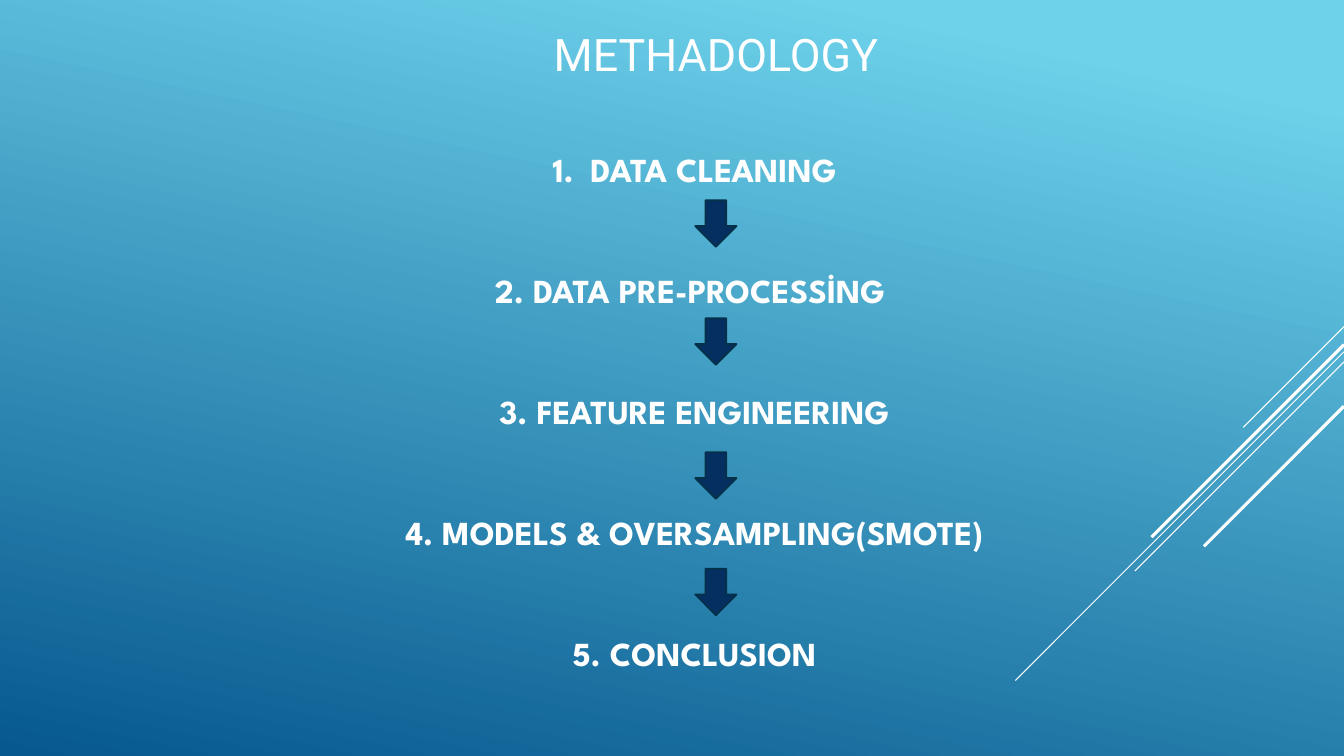
"""Build the methodology slide: five steps linked by down arrows."""
from lxml import etree
from pptx import Presentation
from pptx.dml.color import RGBColor
from pptx.enum.shapes import MSO_CONNECTOR, MSO_SHAPE
from pptx.enum.text import MSO_ANCHOR, MSO_AUTO_SIZE, PP_ALIGN
from pptx.oxml.ns import qn
from pptx.util import Pt

STRAIGHT = MSO_CONNECTOR.STRAIGHT
DOWN_ARROW = MSO_SHAPE.DOWN_ARROW
CENTER = PP_ALIGN.CENTER
TOP, MIDDLE = MSO_ANCHOR.TOP, MSO_ANCHOR.MIDDLE
NO_AUTOFIT = MSO_AUTO_SIZE.NONE

WHITE = RGBColor(0xFF, 0xFF, 0xFF)
SKY = RGBColor(0x6E, 0xD2, 0xEB)
OCEAN = RGBColor(0x06, 0x58, 0x8E)
NAVY = RGBColor(0x05, 0x2F, 0x61)
NAVY_EDGE = RGBColor(0x04, 0x31, 0x48)

PAGE_WIDTH, PAGE_HEIGHT = 960, 540
TITLE = "METHADOLOGY"
TITLE_BOX = (368, 15, 287, 46)
STEPS = [
    "DATA CLEANING",
    "2. DATA PRE-PROCESSİNG ",
    "3. FEATURE ENGINEERING",
    "4. MODELS & OVERSAMPLING(SMOTE)",
    "5. CONCLUSION",
]
STEPS_BOX = (134.6, 103, 723, 385)
STEP_LINE = 28.8
NUMBER_INDENT = 27
ARROW_LEFT, ARROW_WIDTH, ARROW_HEIGHT = 496.6, 29.5, 33.2
ARROW_TOPS = [143, 227.3, 323, 406.2]
DIAGONALS = [
    (233.3, 72, 0.75),
    (251.3, 234.7, 0.75),
    (258.5, 149.4, 0.75),
    (246.2, 137.5, 2.25),
    (290.2, 100, 2.25),
]


def place(shape, box):
    shape.left, shape.top, shape.width, shape.height = map(Pt, box)


def add_span(para, text, font, size, bold=False):
    para.alignment = CENTER
    span = para.add_run()
    span.text = text
    span.font.name = font
    span.font.size = Pt(size)
    span.font.bold = bold
    span.font.color.rgb = WHITE


def paint_background(page):
    fill = page.background.fill
    fill.gradient()
    fill.gradient_angle = 360 - 102
    for stop, (position, color) in zip(fill.gradient_stops, [(0.1, SKY), (1, OCEAN)]):
        stop.position = position
        stop.color.rgb = color


def add_diagonal(page, start, reach, weight):
    line = page.shapes.add_connector(
        STRAIGHT, Pt(PAGE_WIDTH), Pt(start), Pt(PAGE_WIDTH - reach), Pt(start + reach))
    line.line.color.rgb = WHITE
    line.line.width = Pt(weight)
    etree.SubElement(line._element.spPr, qn("a:effectLst"))


def add_title(page):
    title = page.shapes.title
    place(title, TITLE_BOX)
    frame = title.text_frame
    frame.auto_size = NO_AUTOFIT
    frame.vertical_anchor = MIDDLE
    add_span(frame.paragraphs[0], TITLE, "Roboto", 32)


def add_steps(page):
    frame = page.shapes.add_textbox(*map(Pt, STEPS_BOX)).text_frame
    frame.word_wrap = True
    frame.auto_size = NO_AUTOFIT
    frame.vertical_anchor = TOP
    for index, step in enumerate(STEPS):
        para = frame.add_paragraph() if index else frame.paragraphs[0]
        add_span(para, step, "League Spartan", 24, True)
        para.line_spacing = Pt(STEP_LINE)
        para.space_before = Pt(2 * STEP_LINE if index else 0)
    settings = frame.paragraphs[0]._p.get_or_add_pPr()
    settings.set("marL", str(Pt(NUMBER_INDENT)))
    settings.set("indent", str(-Pt(NUMBER_INDENT)))
    etree.SubElement(settings, qn("a:buAutoNum"), type="arabicPeriod")


def add_arrow(page, top):
    arrow = page.shapes.add_shape(
        DOWN_ARROW, Pt(ARROW_LEFT), Pt(top), Pt(ARROW_WIDTH), Pt(ARROW_HEIGHT))
    arrow.shadow.inherit = False
    arrow.fill.solid()
    arrow.fill.fore_color.rgb = NAVY
    arrow.line.color.rgb = NAVY_EDGE
    arrow.line.width = Pt(1.25)


def main():
    deck = Presentation()
    deck.slide_width, deck.slide_height = Pt(PAGE_WIDTH), Pt(PAGE_HEIGHT)
    page = deck.slides.add_slide(deck.slide_layouts.get_by_name("Title Only"))
    paint_background(page)
    for start, reach, weight in DIAGONALS:
        add_diagonal(page, start, reach, weight)
    add_title(page)
    add_steps(page)
    for top in ARROW_TOPS:
        add_arrow(page, top)
    deck.save("out.pptx")


if __name__ == "__main__":
    main()
